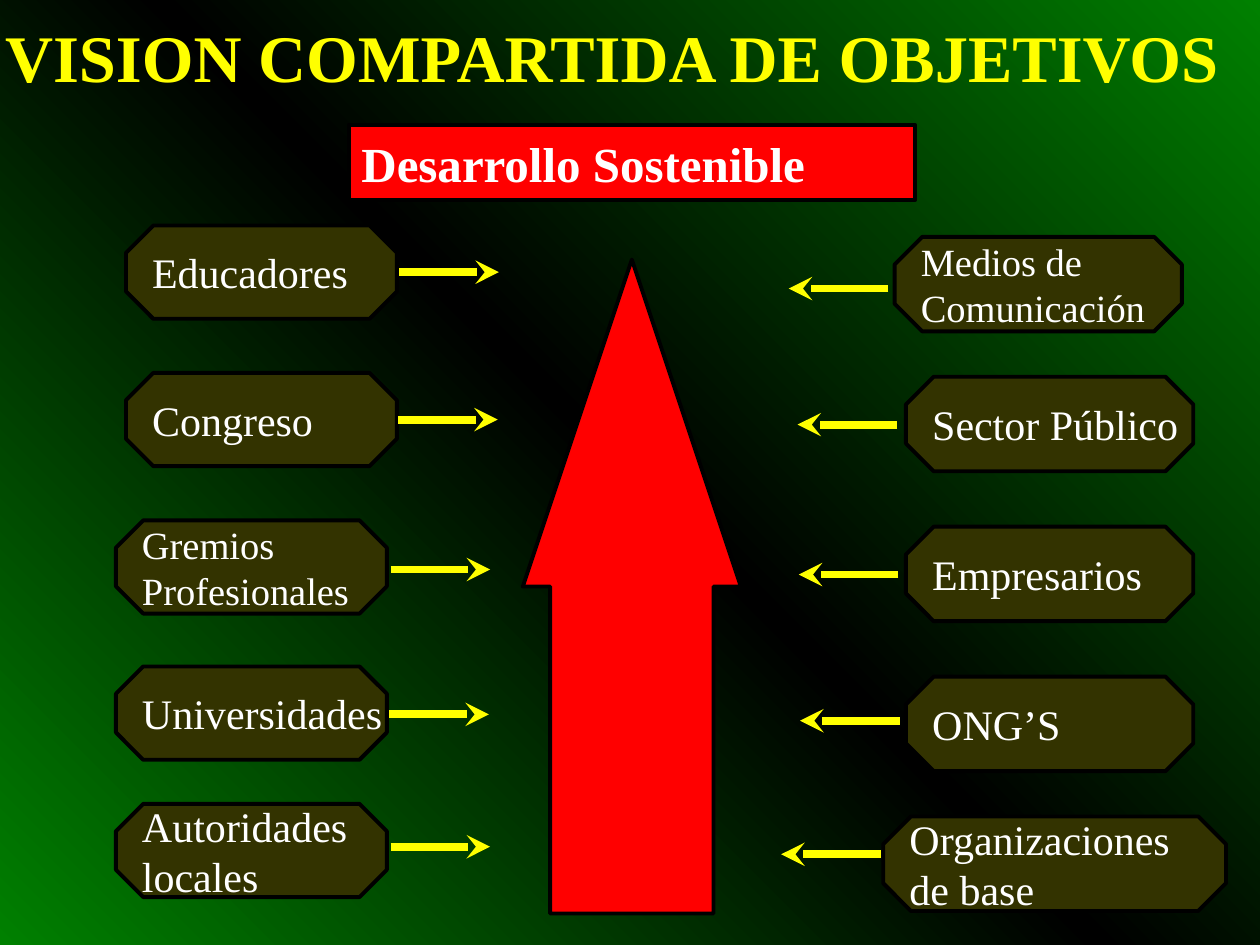
from copy import deepcopy
from pptx import Presentation
from pptx.util import Inches, Pt
from pptx.dml.color import RGBColor
from pptx.enum.shapes import MSO_SHAPE as Shape, MSO_CONNECTOR as Conn
from pptx.enum.text import MSO_ANCHOR as Anchor, PP_ALIGN as Align
from pptx.oxml.ns import qn
from lxml.etree import SubElement

GREEN = RGBColor(0x00, 0x80, 0x00)
BLACK = RGBColor(0x00, 0x00, 0x00)
YELLOW = RGBColor(0xFF, 0xFF, 0x00)
WHITE = RGBColor(0xFF, 0xFF, 0xFF)
OLIVE = RGBColor(0x33, 0x33, 0x00)
RED = RGBColor(0xFF, 0x00, 0x00)
FONT = "Times New Roman"

TITLE = "VISION COMPARTIDA DE OBJETIVOS"
GOAL = "Desarrollo Sostenible"
# Actors: lines, text size, box left, top and width, arrow tail x and y
LEFT = [
    (["Educadores"], 24, 1, 1.79, 2.15, 3.17, 2.16),
    (["Congreso"], 24, 1, 2.96, 2.15, 3.16, 3.33),
    (["Gremios", "Profesionales"], 22, 0.92, 4.13, 2.15, 3.1, 4.52),
    (["Universidades"], 24, 0.92, 5.29, 2.15, 3.09, 5.67),
    (["Autoridades", "locales"], 24, 0.92, 6.38, 2.15, 3.1, 6.72),
]
RIGHT = [
    (["Medios de", "Comunicación"], 22, 7.1, 1.88, 2.28, 7.05, 2.29),
    (["Sector Público"], 24, 7.19, 2.99, 2.28, 7.12, 3.37),
    (["Empresarios"], 24, 7.19, 4.18, 2.28, 7.13, 4.56),
    (["ONG’S"], 24, 7.19, 5.37, 2.28, 7.14, 5.72),
    (["Organizaciones", "de base"], 24, 7.01, 6.48, 2.72, 6.99, 6.78),
]
# Each side: actors, box height, signed arrow length
SIDES = [(LEFT, 0.74, 0.79), (RIGHT, 0.75, -0.79)]

prs = Presentation()
prs.slide_width, prs.slide_height = Inches(10), Inches(7.5)
slide = prs.slides.add_slide(prs.slide_layouts[6])
shapes = slide.shapes


def write(shape, lines, size, color, bold=False, wrap=True):
    frame = shape.text_frame
    frame.word_wrap = wrap
    frame.vertical_anchor = Anchor.MIDDLE
    for i, line in enumerate(lines):
        para = frame.add_paragraph() if i else frame.paragraphs[0]
        para.alignment = Align.LEFT
        run = para.add_run()
        run.text = line
        font = run.font
        font.name, font.size, font.bold = FONT, Pt(size), bold
        font.color.rgb = color
    return frame


def add_box(kind, x, y, w, h, fill, adjust=()):
    box = shapes.add_shape(kind, Inches(x), Inches(y), Inches(w), Inches(h))
    for i, value in enumerate(adjust):
        box.adjustments[i] = value
    box.shadow.inherit = False
    box.fill.solid()
    box.fill.fore_color.rgb = fill
    box.line.color.rgb = BLACK
    box.line.width = Pt(2.25)
    return box


def add_arrow(x, y, length):
    arrow = shapes.add_connector(
        Conn.STRAIGHT, Inches(x), Inches(y), Inches(x + length), Inches(y))
    arrow.line.color.rgb = YELLOW
    arrow.line.width = Pt(4.5)
    SubElement(arrow.line._get_or_add_ln(), qn("a:tailEnd"), type="stealth")
    SubElement(arrow._element.spPr, qn("a:effectLst"))


# Background: green to black to green, rising to the right
back = slide.background.fill
back.gradient()
back.gradient_angle = 45
stops = slide._element.find(".//" + qn("a:gsLst"))
stops.insert(1, deepcopy(stops[0]))
for stop, place, color in zip(back.gradient_stops, (0, 0.5, 1), (GREEN, BLACK, GREEN)):
    stop.position = place
    stop.color.rgb = color

# Title
title = shapes.add_textbox(Inches(0.04), Inches(0.13), Inches(10), Inches(0.63))
frame = write(title, [TITLE], 38, YELLOW, bold=True)
frame.margin_left = frame.margin_right = frame.margin_top = frame.margin_bottom = 0

# Actors with arrows towards the middle
for actors, height, length in SIDES:
    for lines, size, x, y, width, tail_x, tail_y in actors:
        box = add_box(Shape.OCTAGON, x, y, width, height, OLIVE, [0.293])
        write(box, lines, size, WHITE, wrap=False)
        add_arrow(tail_x, tail_y, length)

# Central arrow and shared goal
add_box(Shape.UP_ARROW, 4.15, 2.06, 1.73, 5.19, RED, [0.75, 1.5])
goal = add_box(Shape.RECTANGLE, 2.77, 0.99, 4.49, 0.6, RED)
write(goal, [GOAL], 28, WHITE, bold=True)

prs.save("out.pptx")
